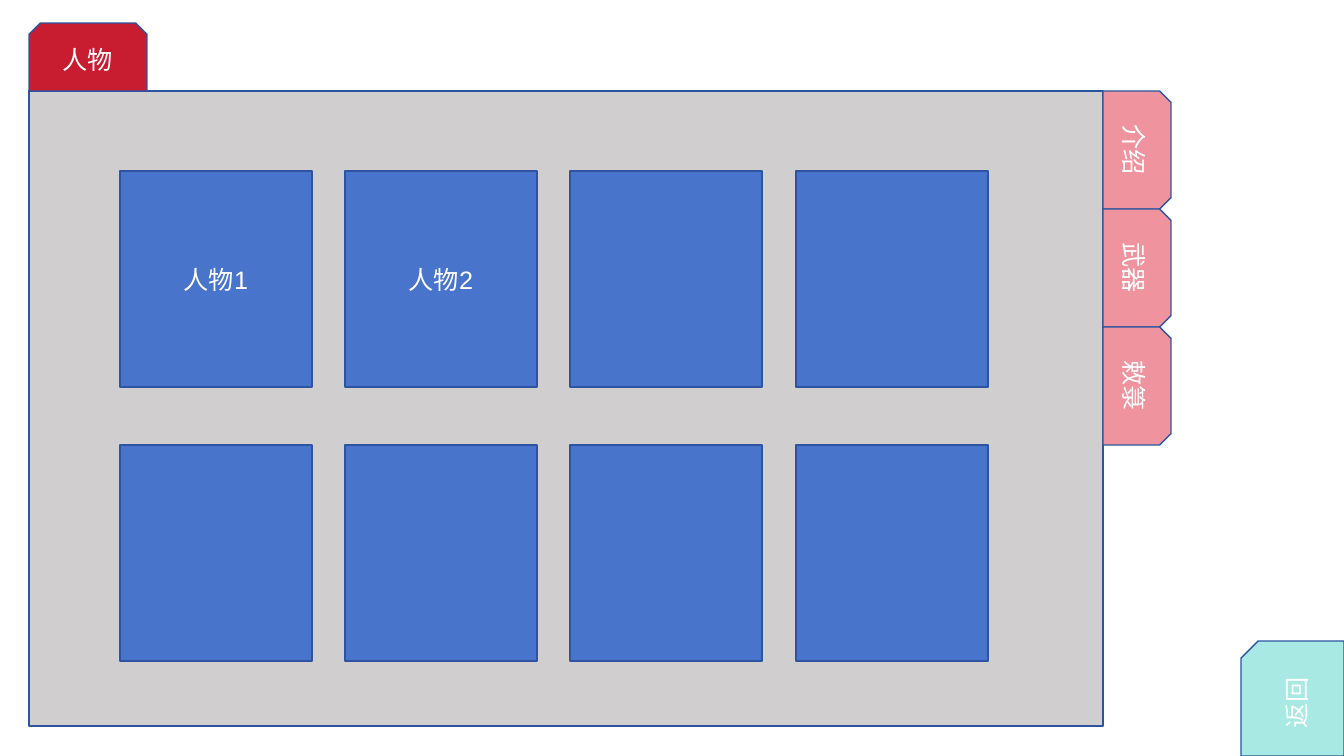
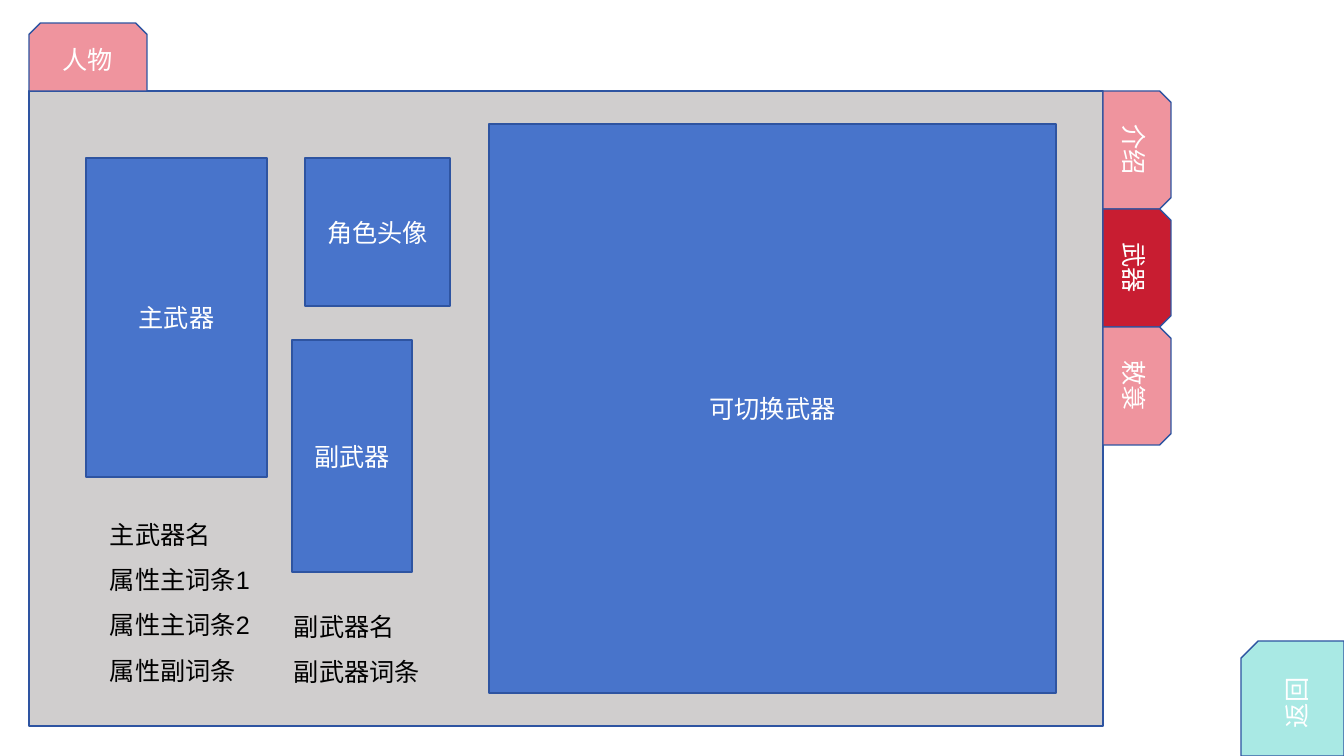
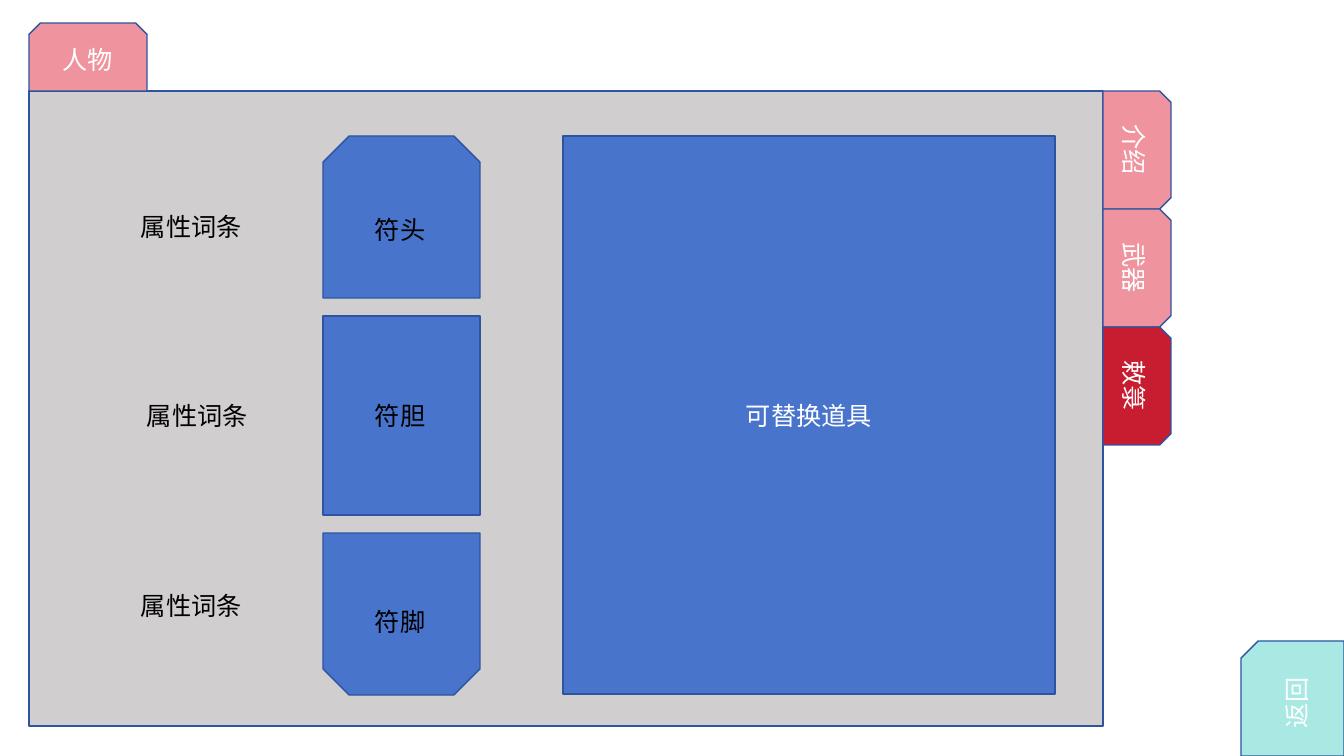
from pptx import Presentation
from pptx import util as u
from pptx.dml import color
from pptx.enum import lang, shapes, text

PX = 12192000 / 1344
C = {
    "panel": "D0CECE",
    "active": "C81D31",
    "tab": "EF949E",
    "back": "A9E9E4",
    "card": "4874CB",
    "line": "2E54A1",
    "light": "FFFFFF",
    "dark": "000000",
}
FONT = {
    "name": "Arial",
    "size": u.Pt(18),
    "language_id": lang.MSO_LANGUAGE_ID.SIMPLIFIED_CHINESE,
}
RECT = shapes.MSO_SHAPE.RECTANGLE
SNIP_ONE = shapes.MSO_SHAPE.SNIP_1_RECTANGLE
SNIP_TWO = shapes.MSO_SHAPE.SNIP_2_SAME_RECTANGLE


def add_box(s, kind, box, fill, label="", rotation=0):
    sp = s.shapes.add_shape(kind, *[round(v * PX) for v in box])
    sp.shadow.inherit = False
    sp.rotation = rotation
    sp.fill.solid()
    sp.fill.fore_color.rgb = color.RGBColor.from_string(C[fill])
    sp.line.color.rgb = color.RGBColor.from_string(C["line"])
    sp.line.width = u.Pt(1)
    if label:
        tf = sp.text_frame
        tf.vertical_anchor = text.MSO_ANCHOR.MIDDLE
        write(tf, [label], "light", {"alignment": text.PP_ALIGN.CENTER})


def write(tf, lines, ink, layout):
    tf.word_wrap = True
    for i, line in enumerate(lines):
        p = tf.add_paragraph() if i else tf.paragraphs[0]
        for name, value in layout.items():
            setattr(p, name, value)
        r = p.add_run()
        r.text = line
        for name, value in FONT.items():
            setattr(r.font, name, value)
        r.font.color.rgb = color.RGBColor.from_string(C[ink])


prs = Presentation()
prs.slide_width = round(1344 * PX)
prs.slide_height = round(756 * PX)

pages = []
for active in ["人物", "武器", "敕箓"]:
    s = prs.slides.add_slide(prs.slide_layouts[6])
    add_box(s, RECT, (29, 91, 1074, 635), "panel")
    fill = "active" if active == "人物" else "tab"
    add_box(s, SNIP_TWO, (29, 23, 118, 68), fill, "人物")
    for i, label in enumerate(["介绍", "武器", "敕箓"]):
        fill = "active" if active == label else "tab"
        add_box(s, SNIP_TWO, (1078, 116 + 118 * i, 118, 68), fill, label, 90)
    add_box(s, SNIP_ONE, (1235, 647, 115, 103), "back", "返回", 270)
    pages.append(s)

people, weapons, charms = pages

names = ["人物1", "人物2"] + [""] * 6
for i, name in enumerate(names):
    row, col = divmod(i, 4)
    box = (120 + 676 * col // 3, 171 + 274 * row, 192, 216)
    add_box(people, RECT, box, "card", name)

for box, label in [
    ((86, 158, 181, 319), "主武器"),
    ((292, 340, 120, 232), "副武器"),
    ((489, 124, 567, 569), "可切换武器"),
    ((305, 158, 145, 148), "角色头像"),
]:
    add_box(weapons, RECT, box, "card", label)

for kind, top, height, rotation in [
    (SNIP_TWO, 136, 162, 0),
    (RECT, 316, 199, 0),
    (SNIP_TWO, 533, 162, 180),
]:
    add_box(charms, kind, (323, top, 157, height), "card", rotation=rotation)
add_box(charms, RECT, (563, 136, 492, 558), "card", "可替换道具")

for s, box, lines, spacing in [
    (weapons, (100, 499, 170, 194),
     ["主武器名", "属性主词条1", "属性主词条2", "属性副词条"], 1.5),
    (weapons, (284, 591, 165, 102), ["副武器名", "副武器词条"], 1.5),
    (charms, (365, 209, 73, 40), ["符头"], 1.0),
    (charms, (365, 395, 73, 40), ["符胆"], 1.0),
    (charms, (365, 601, 73, 40), ["符脚"], 1.0),
    (charms, (131, 206, 137, 40), ["属性词条"], 1.0),
    (charms, (137, 395, 137, 40), ["属性词条"], 1.0),
    (charms, (131, 585, 137, 40), ["属性词条"], 1.0),
]:
    sp = s.shapes.add_textbox(*[round(v * PX) for v in box])
    write(sp.text_frame, lines, "dark", {"line_spacing": spacing})

prs.save("out.pptx")
